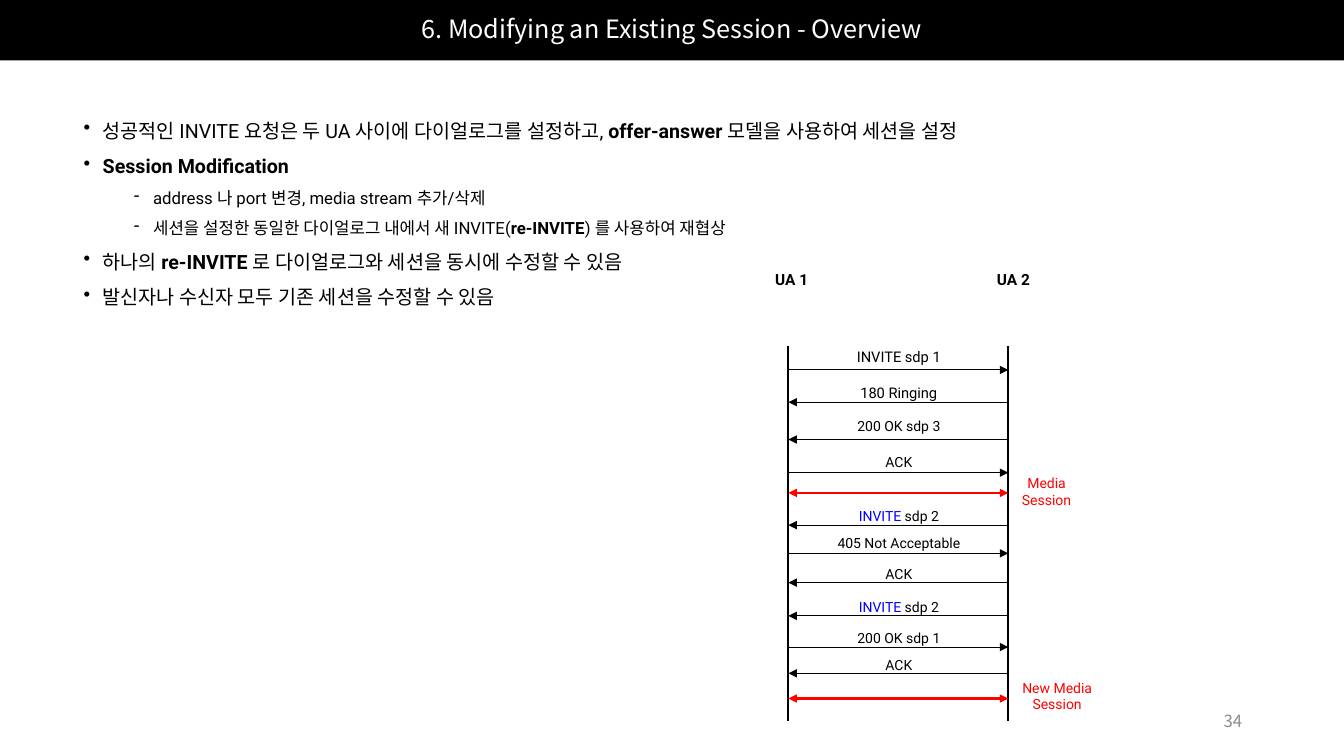
from dataclasses import dataclass

from lxml import etree
from pptx import Presentation, util as u
from pptx.dml.color import RGBColor
from pptx.enum import shapes, text
from pptx.oxml.ns import qn

EMU_PER_PX = 9144  # 100 px to the inch


@dataclass(frozen=True)
class Theme:
    black: str = "000000"
    white: str = "FFFFFF"
    grey: str = "8C8C8C"
    red: str = "FF0000"
    blue: str = "0000FF"
    latin: str = "Roboto"
    korean: str = "Noto Sans CJK KR"
    title: float = 18
    body: float = 14
    sub: float = 12
    actor: float = 11
    first_label: float = 10.5
    label: float = 10
    thin: float = 0.75
    thick: float = 1.5


T = Theme()
LEFT, CENTER, RIGHT = text.PP_ALIGN.LEFT, text.PP_ALIGN.CENTER, text.PP_ALIGN.RIGHT
TOP, MIDDLE, BOTTOM = text.MSO_ANCHOR.TOP, text.MSO_ANCHOR.MIDDLE, text.MSO_ANCHOR.BOTTOM


def px(n):
    return u.Emu(n * EMU_PER_PX)


class Slide:
    def __init__(self, prs, theme):
        self.t = theme
        self.s = prs.slides.add_slide(prs.slide_layouts[6])

    def add_run(self, p, words, size, color=None, bold=False, font=None):
        r = p.add_run()
        r.text = words
        r.font.size = u.Pt(size)
        r.font.bold = bold
        r.font.color.rgb = RGBColor.from_string(color or self.t.black)
        r.font.name = font or self.t.latin
        etree.SubElement(r.font._element, qn("a:ea"), typeface=self.t.korean)

    def title(self, words, w, h):
        sp = self.s.shapes.add_shape(shapes.MSO_SHAPE.RECTANGLE, 0, 0, px(w), px(h))
        sp.shadow.inherit = False
        sp.fill.solid()
        sp.fill.fore_color.rgb = RGBColor.from_string(self.t.black)
        sp.line.fill.background()
        sp.text_frame.vertical_anchor = MIDDLE
        p = sp.text_frame.paragraphs[0]
        p.alignment = CENTER
        p.line_spacing = 0.9
        self.add_run(p, words, self.t.title, self.t.white, font=self.t.korean)

    def frame(self, x, y, w, h, anchor=TOP, wrap=True):
        tf = self.s.shapes.add_textbox(px(x), px(y), px(w), px(h)).text_frame
        tf.word_wrap = wrap
        tf.vertical_anchor = anchor
        return tf

    def label(self, x, y, w, h, runs, size, align=CENTER, anchor=BOTTOM, wrap=True, **style):
        """Single-paragraph text box; runs are (words, colour) pairs."""
        p = self.frame(x, y, w, h, anchor, wrap).paragraphs[0]
        p.alignment = align
        for words, color in runs:
            self.add_run(p, words, size, color, **style)

    def bullets(self, x, y, w, h, items):
        """Items are (level, runs); runs are (words, bold) pairs."""
        tf = self.frame(x, y, w, h)
        for i, (level, runs) in enumerate(items):
            p = tf.add_paragraph() if i else tf.paragraphs[0]
            p.level = level
            p.line_spacing = 1.5
            pPr = p._p.get_or_add_pPr()
            pPr.set("marL", str(px(19 + 50 * level)))
            pPr.set("indent", str(px(-19)))
            etree.SubElement(pPr, qn("a:buChar"), char="•-"[level])
            for words, bold in runs:
                self.add_run(p, words, self.t.sub if level else self.t.body, bold=bold)

    def line(self, x1, y1, x2, y2, color, width, *ends):
        """Straight line; ends names the arrowheads: headEnd (start), tailEnd (finish)."""
        c = self.s.shapes.add_connector(
            shapes.MSO_CONNECTOR.STRAIGHT, px(x1), px(y1), px(x2), px(y2))
        c.line.color.rgb = RGBColor.from_string(color)
        c.line.width = u.Pt(width)
        for end in ends:
            etree.SubElement(c.line._get_or_add_ln(), qn(f"a:{end}"), type="triangle")
        etree.SubElement(c._element.spPr, qn("a:effectLst"))


UA1, UA2 = 782, 1000
LABEL_X, LABEL_W, LABEL_H = 806, 171, 27

BULLETS = [
    (0, [("성공적인 INVITE 요청은 두 UA 사이에 다이얼로그를 설정하고, ", False),
         ("offer-answer ", True), ("모델을 사용하여 세션을 설정", False)]),
    (0, [("Session Modification", True)]),
    (1, [("address 나 port 변경, media stream 추가/삭제", False)]),
    (1, [("세션을 설정한 동일한 다이얼로그 내에서 새 INVITE(", False),
         ("re-INVITE", True), (") 를 사용하여 재협상", False)]),
    (0, [("하나의 ", False), ("re-INVITE ", True),
         ("로 다이얼로그와 세션을 동시에 수정할 수 있음", False)]),
    (0, [("발신자나 수신자 모두 기존 세션을 수정할 수 있음", False)]),
]

REINVITE = [("INVITE ", T.blue), ("sdp 2", T.black)]
ACK = [("ACK", T.black)]
# arrow y, label bottom, sender, label runs, label size
MESSAGES = [
    (367, 368, UA1, [("INVITE sdp 1", T.black)], T.first_label),
    (399, 403, UA2, [("180 Ringing", T.black)], T.first_label),
    (436, 436, UA2, [("200 OK sdp 3", T.black)], T.label),
    (469, 472, UA1, ACK, T.label),
    (521, 525, UA2, REINVITE, T.label),
    (549, 552, UA1, [("405 Not Acceptable", T.black)], T.label),
    (578, 583, UA2, ACK, T.label),
    (611, 615, UA2, REINVITE, T.label),
    (642, 646, UA1, [("200 OK sdp 1", T.black)], T.label),
    (668, 673, UA2, ACK, T.label),
]
# arrow y, label top, label width, label
MEDIA = [(489, 465, 76, "Media Session"), (693, 668, 97, "New Media Session")]


def main():
    prs = Presentation()
    prs.slide_width, prs.slide_height = px(1333), px(750)
    s = Slide(prs, T)
    s.title("6. Modifying an Existing Session - Overview", 1333, 60)
    s.label(942, 695, 300, 40, [("34", T.grey)], T.sub, RIGHT, MIDDLE, font=T.korean)
    s.bullets(73, 101, 1219, 208, BULLETS)

    for x, name_x, name in [(UA1, 759, "UA 1"), (UA2, 979, "UA 2")]:
        s.line(x, 343, x, 715, T.black, T.thick)
        s.label(name_x, 263, 53, 29, [(name, T.black)], T.actor, LEFT, TOP,
                wrap=False, bold=True)

    for y, bottom, sender, runs, size in MESSAGES:
        s.line(sender, y, UA1 + UA2 - sender, y, T.black, T.thin, "tailEnd")
        s.label(LABEL_X, bottom - LABEL_H, LABEL_W, LABEL_H, runs, size)

    for y, top, w, name in MEDIA:
        s.line(UA1, y, UA2, y, T.red, T.thick, "headEnd", "tailEnd")
        s.label(UA2, top, w, 44, [(name, T.red)], T.label)

    prs.save("out.pptx")


if __name__ == "__main__":
    main()
